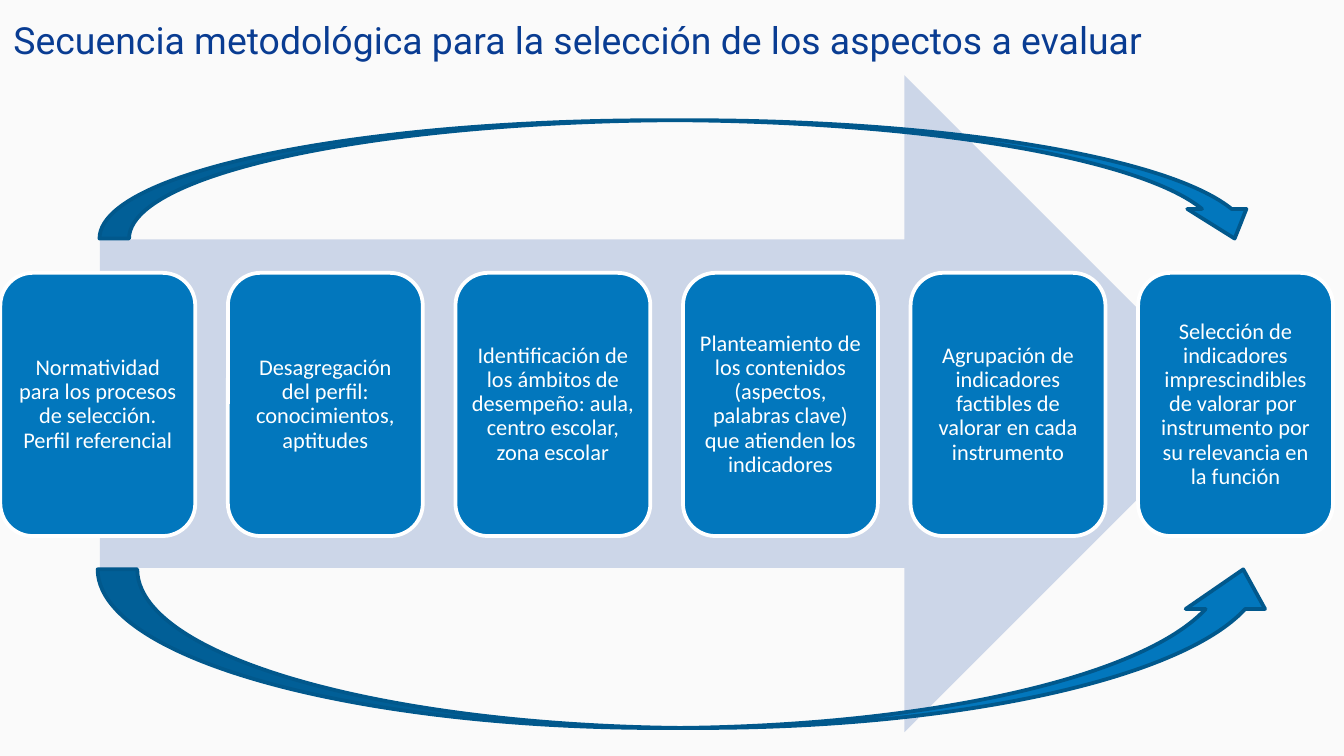
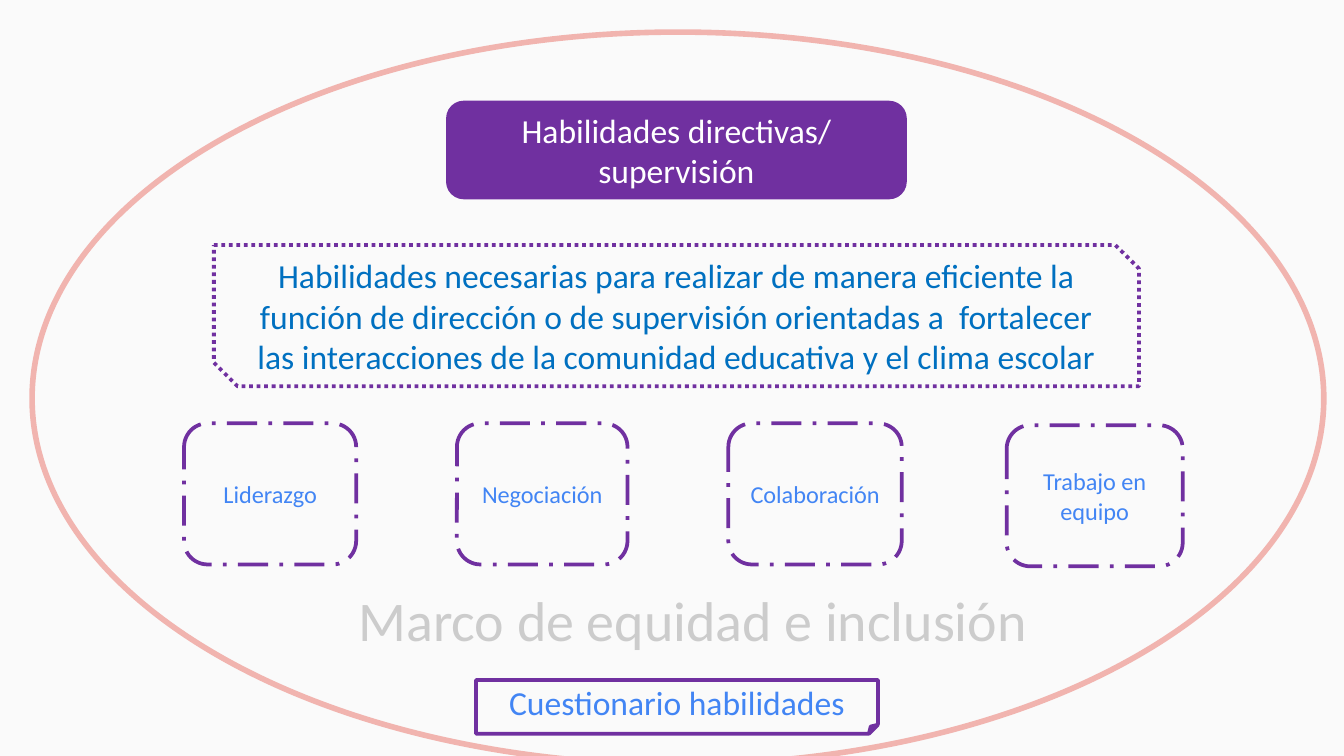
from pptx import Presentation
from pptx.dml.color import RGBColor
from pptx.enum import dml, shapes, text
from pptx.util import Pt

COLORS = {
    "background": "FAFAFA",
    "title": "093C92",
    "blue": "0277BD",
    "dark_blue": "01588C",
    "pale_blue": "CCD6E8",
    "white": "FFFFFF",
    "purple": "7030A0",
    "body": "0070C0",
    "label": "4285F4",
    "salmon": "F1B4AF",
    "gray": "CCCCCC",
}
SHAPE = shapes.MSO_SHAPE
DASH = dml.MSO_LINE
ALIGN = text.PP_ALIGN
ANCHOR = text.MSO_ANCHOR


def rgb(name):
    return RGBColor.from_string(COLORS[name])


def write(tf, content, size=18, color="white", font="Calibri", align=ALIGN.CENTER,
          anchor=ANCHOR.MIDDLE, inset=(7.2, 3.6), spacing=1.0):
    """Fill a text frame, one paragraph per line; inset is (sides, top and bottom)."""
    tf.word_wrap = True
    tf.auto_size = text.MSO_AUTO_SIZE.NONE
    tf.vertical_anchor = anchor
    tf.margin_left = tf.margin_right = Pt(inset[0])
    tf.margin_top = tf.margin_bottom = Pt(inset[1])
    tf.text = content
    for p in tf.paragraphs:
        p.alignment = align
        p.line_spacing = spacing
        p.space_before = Pt(0)
        for r in p.runs:
            r.font.size = Pt(size)
            r.font.name = font
            r.font.color.rgb = rgb(color)


class Deck:
    """Shared style and the slide being built."""

    def __init__(self):
        self.prs = Presentation()
        self.prs.slide_width, self.prs.slide_height = Pt(720), Pt(405)
        fill = self.prs.slide_master.background.fill
        fill.solid()
        fill.fore_color.rgb = rgb("background")
        self.s = None

    def slide(self, title=None):
        layout = "Title Only" if title else "Blank"
        self.s = self.prs.slides.add_slide(self.prs.slide_layouts.get_by_name(layout))
        if title:
            sp = self.s.shapes.title
            sp.left, sp.top, sp.width, sp.height = Pt(0), Pt(0), Pt(720), Pt(40.3)
            write(sp.text_frame, title, size=20, color="title", font="Roboto",
                  align=ALIGN.LEFT, anchor=ANCHOR.BOTTOM, inset=(7.2, 7.2))

    def shape(self, kind, box, fill=None, line=None, weight=2, dash=None,
              adj=(), content=None, **fmt):
        sp = self.s.shapes.add_shape(kind, *map(Pt, box))
        sp.shadow.inherit = False
        if fill:
            sp.fill.solid()
            sp.fill.fore_color.rgb = rgb(fill)
        else:
            sp.fill.background()
        if line:
            sp.line.color.rgb = rgb(line)
            sp.line.width = Pt(weight)
            if dash:
                sp.line.dash_style = dash
        else:
            sp.line.fill.background()
        for i, value in enumerate(adj):
            sp.adjustments[i] = value
        if content:
            write(sp.text_frame, content, **fmt)

    def textbox(self, box, content, **fmt):
        sp = self.s.shapes.add_textbox(*map(Pt, box))
        write(sp.text_frame, content, **fmt)


def build_sequence(deck):
    steps = [
        "Normatividad para los procesos de selección. Perfil referencial",
        "Desagregación del perfil: conocimientos, aptitudes",
        "Identificación de los ámbitos de desempeño: aula, centro escolar, zona escolar",
        "Planteamiento de los contenidos (aspectos, palabras clave) que atienden "
        "los indicadores",
        "Agrupación de indicadores factibles de valorar en cada instrumento",
        "Selección de indicadores imprescindibles de valorar por  instrumento "
        "por su relevancia en la función",
    ]
    deck.slide("Secuencia metodológica para la selección de los aspectos a evaluar")
    deck.shape(SHAPE.RIGHT_ARROW, (53.5, 40.3, 607, 352), fill="pale_blue")
    for i, step in enumerate(steps):
        deck.shape(SHAPE.ROUNDED_RECTANGLE, (0.2 + 121.9 * i, 146.2, 104.4, 141),
                   fill="blue", line="white", content=step,
                   size=12, inset=(3.6, 3.6), spacing=0.9)
    deck.shape(SHAPE.CURVED_UP_ARROW, (52.3, 305, 635, 85),
               fill="blue", line="dark_blue")
    deck.shape(SHAPE.CURVED_DOWN_ARROW, (53.3, 64.4, 624, 63.4),
               fill="blue", line="dark_blue")


def build_skills(deck):
    skills = [
        ("Liderazgo", 98.6, 226.8, 92.2),
        ("Negociación", 244.8, 226.8, 91.4),
        ("Colaboración", 390.2, 226.8, 92.9),
        ("Trabajo en equipo", 539.3, 227.8, 94.3),
    ]
    deck.slide()
    deck.shape(SHAPE.ROUNDED_RECTANGLE, (240, 55, 244.8, 50.8), fill="purple",
               line="purple", content="Habilidades directivas/\nsupervisión")
    deck.shape(SHAPE.FOLDED_CORNER, (255, 364.3, 215.3, 28.8), line="purple",
               content="Cuestionario habilidades", color="label")
    deck.shape(SHAPE.SNIP_2_DIAG_RECTANGLE, (114.6, 131.3, 495.6, 75.6),
               line="purple", dash=DASH.ROUND_DOT, adj=(0, 0.167), color="body",
               content="Habilidades necesarias para realizar de manera eficiente la "
                       "función de dirección o de supervisión orientadas a  fortalecer "
                       "las interacciones de la comunidad educativa y el clima escolar")
    for name, left, top, width in skills:
        deck.shape(SHAPE.ROUNDED_RECTANGLE, (left, top, width, 75.6), line="purple",
                   dash=DASH.LONG_DASH_DOT, content=name, size=13, color="label")
    deck.shape(SHAPE.OVAL, (17.2, 17.2, 692, 392.4), line="salmon", weight=3)
    deck.textbox((108.7, 306.7, 525, 236), "Marco de equidad e inclusión", size=30,
                 color="gray", anchor=ANCHOR.TOP, inset=(7.2, 7.2))


def main():
    deck = Deck()
    build_sequence(deck)
    build_skills(deck)
    deck.prs.save("out.pptx")


if __name__ == "__main__":
    main()
